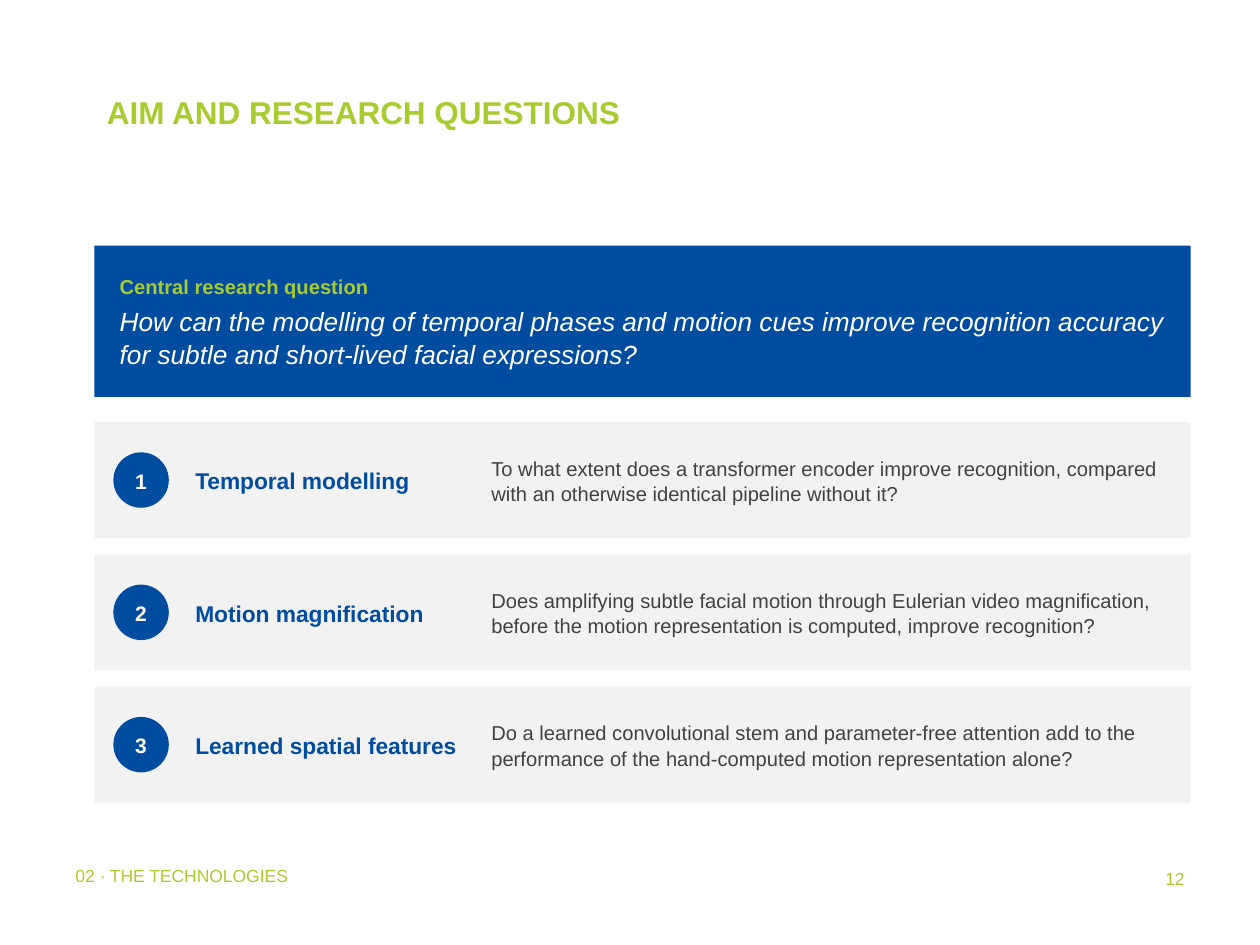
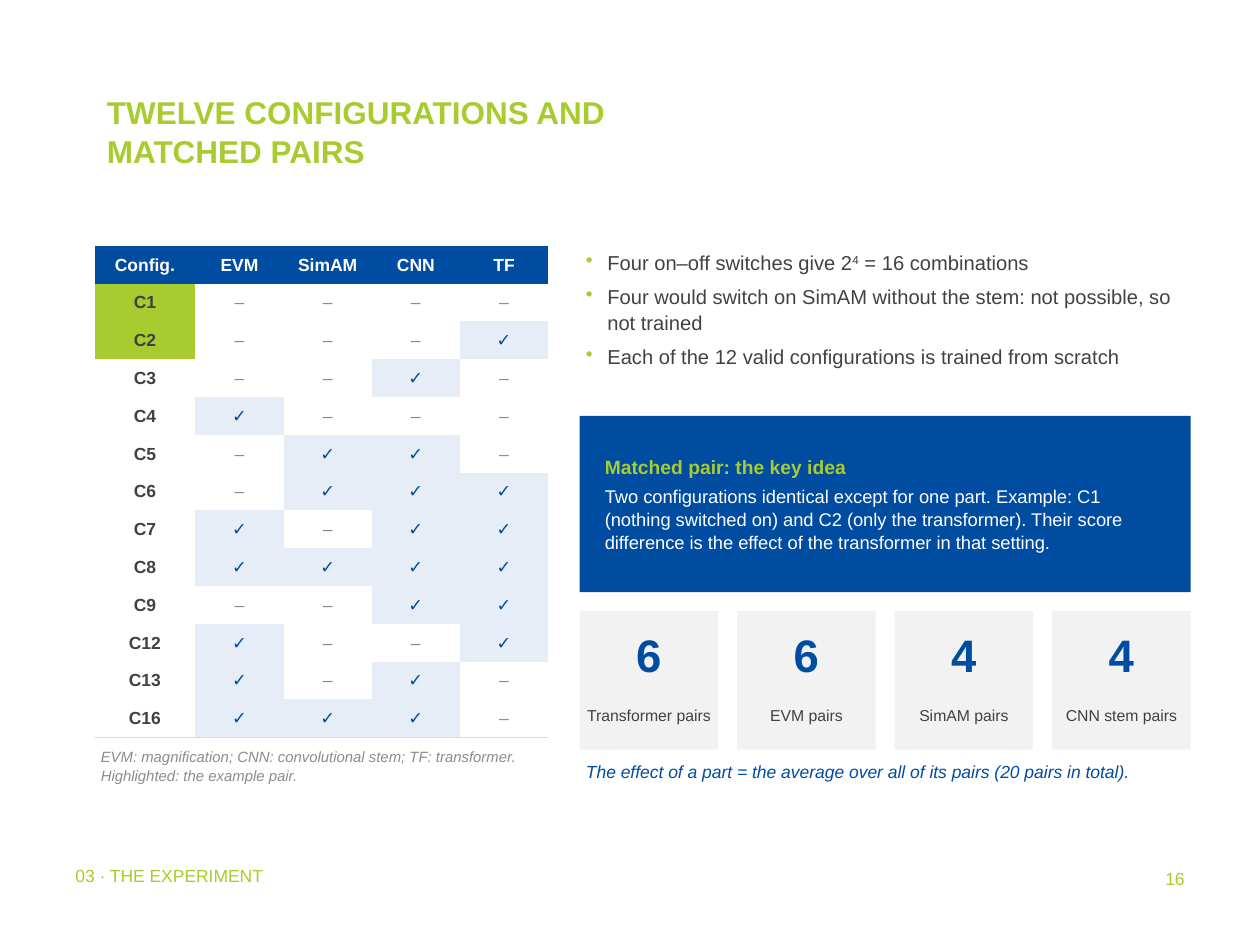
from dataclasses import dataclass

from lxml.etree import SubElement
from pptx import Presentation
from pptx.dml.color import RGBColor
from pptx.enum.shapes import MSO_SHAPE as Shape
from pptx.enum.text import MSO_ANCHOR as Anchor, PP_ALIGN as Align
from pptx.oxml.ns import qn
from pptx.util import Pt

PX = 9144
FONT = "Arial"
LINE_SPACING = 1.05
BLUE, LIME, WHITE = "004CA0", "A8CC2F", "FFFFFF"
PANEL, TINT, RULE = "F2F2F2", "E6EDF6", "D9D9D9"
INK, MUTED = "414141", "8C8C8C"
NO_TABLE_STYLE = "{2D5ABB26-0587-4C30-8999-92F81FD0307C}"
LEFT, RIGHT, TOP = 75, 945, 195

QUESTIONS = [
    ("Temporal modelling",
     "To what extent does a transformer encoder improve recognition, "
     "compared with an otherwise identical pipeline without it?"),
    ("Motion magnification",
     "Does amplifying subtle facial motion through Eulerian video magnification, "
     "before the motion representation is computed, improve recognition?"),
    ("Learned spatial features",
     "Do a learned convolutional stem and parameter-free attention add to the "
     "performance of the hand-computed motion representation alone?"),
]
SWITCHES = ["EVM", "SimAM", "CNN", "TF"]
CONFIGURATIONS = {
    "C1": "––––", "C2": "–––✓", "C3": "––✓–", "C4": "✓–––",
    "C5": "–✓✓–", "C6": "–✓✓✓", "C7": "✓–✓✓", "C8": "✓✓✓✓",
    "C9": "––✓✓", "C12": "✓––✓", "C13": "✓–✓–", "C16": "✓✓✓–",
}
EXAMPLE_PAIR = ("C1", "C2")
PAIR_COUNTS = [("6", "Transformer pairs"), ("6", "EVM pairs"),
               ("4", "SimAM pairs"), ("4", "CNN stem pairs")]


@dataclass
class Run:
    text: str
    size: float
    color: str
    bold: bool = False
    italic: bool = False
    superscript: bool = False


def px(*lengths):
    return [length * PX for length in lengths]


def rgb(color):
    return RGBColor.from_string(color)


def fill_solid(target, color):
    target.fill.solid()
    target.fill.fore_color.rgb = rgb(color)


def set_margins(target, horizontal, vertical):
    target.margin_left = target.margin_right = horizontal * PX
    target.margin_top = target.margin_bottom = vertical * PX


def add_bullet(paragraph):
    properties = paragraph._p.get_or_add_pPr()
    properties.set("marL", str(17 * PX))
    properties.set("indent", str(-17 * PX))
    color = SubElement(properties, qn("a:buClr"))
    SubElement(color, qn("a:srgbClr")).set("val", LIME)
    SubElement(properties, qn("a:buChar")).set("char", "•")


def write(frame, paragraphs, align=Align.LEFT, after=0, bullets=False):
    for index, runs in enumerate(paragraphs):
        paragraph = frame.add_paragraph() if index else frame.paragraphs[0]
        if bullets:
            add_bullet(paragraph)
        paragraph.alignment = align
        paragraph.line_spacing = LINE_SPACING
        paragraph.space_after = Pt(after)
        for item in runs:
            run = paragraph.add_run()
            run.text = item.text
            font = run.font
            font.name, font.size = FONT, Pt(item.size)
            font.bold, font.italic = item.bold, item.italic
            font.color.rgb = rgb(item.color)
            if item.superscript:
                run._r.get_or_add_rPr().set("baseline", "30000")


def add_text(slide, box, paragraphs, anchor=Anchor.TOP, margins=(5, 3), **style):
    frame = slide.shapes.add_textbox(*px(*box)).text_frame
    frame.word_wrap = True
    frame.vertical_anchor = anchor
    set_margins(frame, *margins)
    write(frame, paragraphs, **style)


def add_block(slide, kind, box, color):
    shape = slide.shapes.add_shape(kind, *px(*box))
    shape.shadow.inherit = False
    fill_solid(shape, color)
    shape.line.fill.background()
    return shape


def add_callout(slide, box, heading, body):
    left, top, width, height = box
    add_block(slide, Shape.RECTANGLE, box, BLUE)
    add_text(slide, (left + 15, top + 6, width - 30, height - 12),
             [[heading], [body]], Anchor.MIDDLE, after=3)


def add_question(slide, top, number, topic, question):
    height = 92
    add_block(slide, Shape.RECTANGLE, (LEFT, top, RIGHT - LEFT, height), PANEL)
    badge = add_block(slide, Shape.OVAL, (90, top + 24, 44, 44), BLUE)
    frame = badge.text_frame
    set_margins(frame, 0, 0)
    frame.vertical_anchor = Anchor.MIDDLE
    write(frame, [[Run(str(number), 12, WHITE, bold=True)]], Align.CENTER)
    add_text(slide, (150, top, 230, height),
             [[Run(topic, 13, BLUE, bold=True)]], Anchor.MIDDLE)
    add_text(slide, (385, top, 550, height),
             [[Run(question, 11.5, INK)]], Anchor.MIDDLE)


def add_pair_count(slide, left, count, label):
    top, side = 485, 110
    add_block(slide, Shape.RECTANGLE, (left, top, side, side), PANEL)
    add_text(slide, (left, top + 3, side, 60),
             [[Run(count, 26, BLUE, bold=True)]], Anchor.MIDDLE, align=Align.CENTER)
    add_text(slide, (left, top + 60, side, 45),
             [[Run(label, 9, INK)]], Anchor.MIDDLE, (3, 3), align=Align.CENTER)


def set_cell(cell, text, color, fill, bold=True):
    fill_solid(cell, fill)
    set_margins(cell, 6, 2)
    cell.vertical_anchor = Anchor.MIDDLE
    write(cell.text_frame, [[Run(text, 10, color, bold)]], Align.CENTER)


def add_bottom_border(cell):
    line = SubElement(cell._tc.get_or_add_tcPr(), qn("a:lnB"))
    line.set("w", str(Pt(0.75)))
    SubElement(SubElement(line, qn("a:solidFill")), qn("a:srgbClr")).set("val", RULE)
    cell._tc.tcPr.insert(0, line)


def add_configuration_table(slide):
    row_count, row_height = len(CONFIGURATIONS) + 1, 30
    widths = [80] + [70] * len(SWITCHES)
    frame = slide.shapes.add_table(
        row_count, len(widths), *px(LEFT, TOP, sum(widths), row_count * row_height))
    table = frame.table
    table.first_row = table.horz_banding = False
    table._tbl.tblPr.find(qn("a:tableStyleId")).text = NO_TABLE_STYLE
    for column, width in zip(table.columns, widths):
        column.width = width * PX
    for row in table.rows:
        row.height = row_height * PX
    for column, heading in enumerate(["Config.", *SWITCHES]):
        set_cell(table.cell(0, column), heading, WHITE, BLUE)
    for row, (name, marks) in enumerate(CONFIGURATIONS.items(), 1):
        set_cell(table.cell(row, 0), name, INK, LIME if name in EXAMPLE_PAIR else WHITE)
        for column, mark in enumerate(marks, 1):
            switched_on = mark == "✓"
            set_cell(table.cell(row, column), mark, BLUE if switched_on else MUTED,
                     TINT if switched_on else WHITE, switched_on)
    for column in range(len(widths)):
        add_bottom_border(table.cell(row_count - 1, column))


def add_slide(presentation, title, section, number):
    slide = presentation.slides.add_slide(presentation.slide_layouts[6])
    add_text(slide, (75, 67, 542, 125), [[Run(title, 18, LIME, bold=True)]],
             margins=(10, 5))
    add_text(slide, (50, 683, 567, 40), [[Run(section, 10, LIME)]], margins=(10, 3))
    add_text(slide, (742, 683, 208, 50), [[Run(str(number), 10, LIME)]],
             margins=(10, 5), align=Align.RIGHT)
    return slide


def build_questions(presentation):
    slide = add_slide(presentation, "AIM AND RESEARCH QUESTIONS",
                      "02 · THE TECHNOLOGIES", 12)
    add_callout(slide, (LEFT, TOP, RIGHT - LEFT, 120),
                Run("Central research question", 11.5, LIME, bold=True),
                Run("How can the modelling of temporal phases and motion cues improve "
                    "recognition accuracy for subtle and short-lived facial expressions?",
                    15, WHITE, italic=True))
    for index, (topic, question) in enumerate(QUESTIONS):
        add_question(slide, 335 + index * 105, index + 1, topic, question)


def build_configurations(presentation):
    slide = add_slide(presentation, "TWELVE CONFIGURATIONS AND MATCHED PAIRS",
                      "03 · THE EXPERIMENT", 16)
    add_configuration_table(slide)
    add_text(slide, (LEFT, 590, 360, 45),
             [[Run("EVM: magnification; CNN: convolutional stem; TF: transformer. "
                   "Highlighted: the example pair.", 8.5, MUTED, italic=True)]], after=3)
    left = 460
    width = RIGHT - left
    add_text(slide, (left, TOP, width, 130), [
        [Run("Four on–off switches give 2", 11.5, INK),
         Run("4", 11.5, INK, superscript=True),
         Run(" = 16 combinations", 11.5, INK)],
        [Run("Four would switch on SimAM without the stem: not possible, so not trained",
             11.5, INK)],
        [Run("Each of the 12 valid configurations is trained from scratch", 11.5, INK)],
    ], after=5, bullets=True)
    add_callout(slide, (left, 330, width, 140),
                Run("Matched pair: the key idea", 11, LIME, bold=True),
                Run("Two configurations identical except for one part. Example: C1 "
                    "(nothing switched on) and C2 (only the transformer). Their score "
                    "difference is the effect of the transformer in that setting.",
                    10.5, WHITE))
    for index, (count, label) in enumerate(PAIR_COUNTS):
        add_pair_count(slide, left + index * 125, count, label)
    add_text(slide, (left, 600, width, 45),
             [[Run("The effect of a part = the average over all of its pairs "
                   "(20 pairs in total).", 10, BLUE, italic=True)]], after=3)


def main():
    presentation = Presentation()
    presentation.slide_width, presentation.slide_height = px(1000, 750)
    build_questions(presentation)
    build_configurations(presentation)
    presentation.save("out.pptx")


if __name__ == "__main__":
    main()
